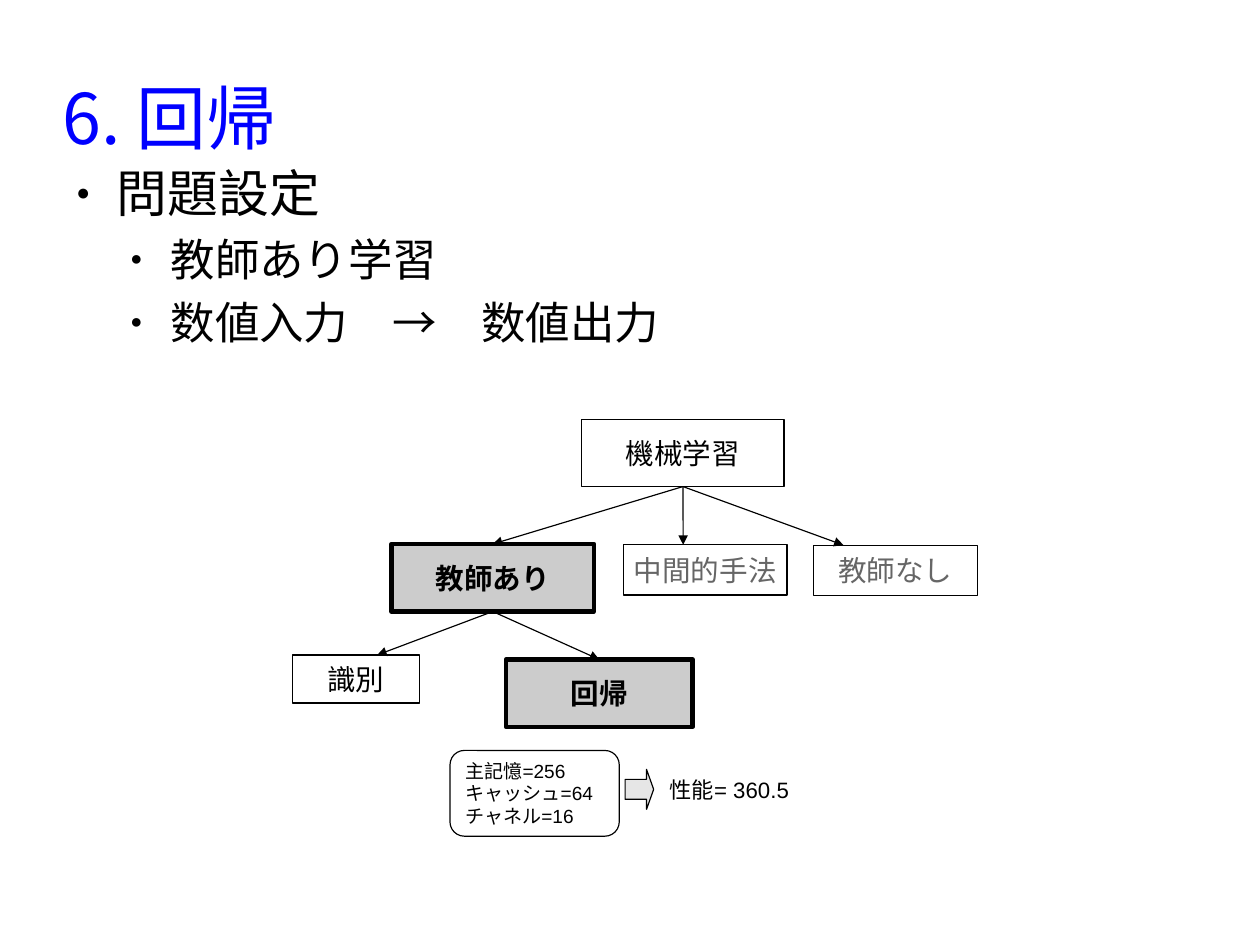
import pptx
import pptx.util
import pptx.dml.color
import pptx.enum.shapes
import pptx.enum.text
import pptx.oxml.ns
from lxml import etree

Pt = pptx.util.Pt
RGBColor = pptx.dml.color.RGBColor
MSO_SHAPE = pptx.enum.shapes.MSO_SHAPE
PP_ALIGN = pptx.enum.text.PP_ALIGN
MSO_ANCHOR = pptx.enum.text.MSO_ANCHOR
qn = pptx.oxml.ns.qn

BLACK = RGBColor(0x00, 0x00, 0x00)
WHITE = RGBColor(0xFF, 0xFF, 0xFF)
BLUE = RGBColor(0x00, 0x00, 0xFF)
GRAY_TEXT = RGBColor(0x66, 0x66, 0x66)
HIGHLIGHT = RGBColor(0xCC, 0xCC, 0xCC)
ARROW_FILL = RGBColor(0xE6, 0xE6, 0xE6)
JAPANESE_FONT = "Noto Sans CJK JP"


def format_text(text_frame, size, color=BLACK, font=JAPANESE_FONT, bold=False, align=PP_ALIGN.LEFT):
    for paragraph in text_frame.paragraphs:
        paragraph.alignment = align
        for run in paragraph.runs:
            run.font.size = Pt(size)
            run.font.bold = bold
            run.font.color.rgb = color
            run.font.name = font
            east_asian = etree.SubElement(run.font._element, qn("a:ea"))
            east_asian.set("typeface", JAPANESE_FONT)


def add_outlined_shape(kind, left, top, width, height, fill=None, line_width=0):
    shape = slide.shapes.add_shape(kind, Pt(left), Pt(top), Pt(width), Pt(height))
    shape.shadow.inherit = False
    if fill is None:
        shape.fill.background()
    else:
        shape.fill.solid()
        shape.fill.fore_color.rgb = fill
    shape.line.color.rgb = BLACK
    shape.line.width = Pt(line_width)
    shape.text_frame.word_wrap = False
    shape.text_frame.vertical_anchor = MSO_ANCHOR.MIDDLE
    return shape


presentation = pptx.Presentation()
presentation.slide_width = Pt(793.75)
presentation.slide_height = Pt(595.25)
slide = presentation.slides.add_slide(presentation.slide_layouts[5])

# Title
title = slide.shapes.title
title.left, title.top, title.width, title.height = Pt(39.6), Pt(23.8), Pt(714.2), Pt(99.4)
title.text_frame.text = "6. 回帰"
title.text_frame.vertical_anchor = MSO_ANCHOR.MIDDLE
format_text(title.text_frame, 44, BLUE)

# Bulleted problem setting
body = slide.shapes.add_textbox(Pt(39.6), Pt(102.2), Pt(714.2), Pt(345.6))
body.text_frame.word_wrap = True
body.text_frame.text = "問題設定\n教師あり学習\n数値入力　→　数値出力"
format_text(body.text_frame, 28)
for frame in (title.text_frame, body.text_frame):
    frame.margin_left = frame.margin_right = frame.margin_top = frame.margin_bottom = 0
for paragraph, level in zip(body.text_frame.paragraphs, (0, 1, 1)):
    paragraph.level = level
    paragraph.space_after = Pt(5.7)
    paragraph.runs[0].font.size = Pt(32 - 4 * level)
    properties = paragraph._p.get_or_add_pPr()
    properties.set("marL", str(Pt(34 * (level + 1))))
    properties.set("indent", str(Pt(-25.5)))
    etree.SubElement(properties, qn("a:buSzPct")).set("val", "45000")
    etree.SubElement(properties, qn("a:buFont")).set("typeface", "Arial")
    etree.SubElement(properties, qn("a:buChar")).set("char", "●")

# Tree of learning methods: name, left, top, width, height, text colour, highlighted
METHODS = [
    ("機械学習", 366.5, 264, 127.5, 42.5, BLACK, False),
    ("教師あり", 246.7, 342.7, 127.5, 42.5, BLACK, True),
    ("中間的手法", 392.8, 343.2, 103, 31.7, GRAY_TEXT, False),
    ("教師なし", 512.6, 343.4, 103, 31.7, GRAY_TEXT, False),
    ("識別", 184.1, 412.6, 80, 30.2, BLACK, False),
    ("回帰", 318.8, 415.4, 117.4, 42.5, BLACK, True),
]
boxes = {}
for name, left, top, width, height, color, highlighted in METHODS:
    box = add_outlined_shape(MSO_SHAPE.RECTANGLE, left, top, width, height,
                             HIGHLIGHT if highlighted else WHITE, 2.83 if highlighted else 0)
    box.text_frame.text = name
    format_text(box.text_frame, 18, color, bold=highlighted, align=PP_ALIGN.CENTER)
    boxes[name] = box

# Branches: parent, child, x of the arrowhead (None for the middle of the child's top)
BRANCHES = [
    ("機械学習", "教師あり", None),
    ("機械学習", "中間的手法", 430.4),
    ("機械学習", "教師なし", 531.4),
    ("教師あり", "識別", 237.6),
    ("教師あり", "回帰", None),
]
for parent, child, tip in BRANCHES:
    branch = slide.shapes.add_connector(pptx.enum.shapes.MSO_CONNECTOR.STRAIGHT,
                                        0, 0, Pt(tip or 0), boxes[child].top)
    branch.begin_connect(boxes[parent], 2)
    if tip is None:
        branch.end_connect(boxes[child], 0)
    branch.line.color.rgb = BLACK
    branch.line.width = Pt(0.75)
    etree.SubElement(branch.line._get_or_add_ln(), qn("a:tailEnd")).set("type", "triangle")
    etree.SubElement(branch._element.spPr, qn("a:effectLst"))

# Regression example
inputs = add_outlined_shape(MSO_SHAPE.ROUNDED_RECTANGLE, 283.5, 472.7, 106.6, 54)
inputs.text_frame.text = "主記憶=256\nキャッシュ=64\nチャネル=16"
format_text(inputs.text_frame, 12, font="Arial")

arrow = add_outlined_shape(MSO_SHAPE.RIGHT_ARROW, 393.8, 484.6, 18, 25.2, ARROW_FILL)
arrow.adjustments[1] = 0.25

output = slide.shapes.add_textbox(Pt(414.7), Pt(485.3), Pt(112.3), Pt(49))
output.text_frame.word_wrap = True
output.text_frame.text = "性能= 360.5"
format_text(output.text_frame, 14, font="Arial")

presentation.save("out.pptx")
